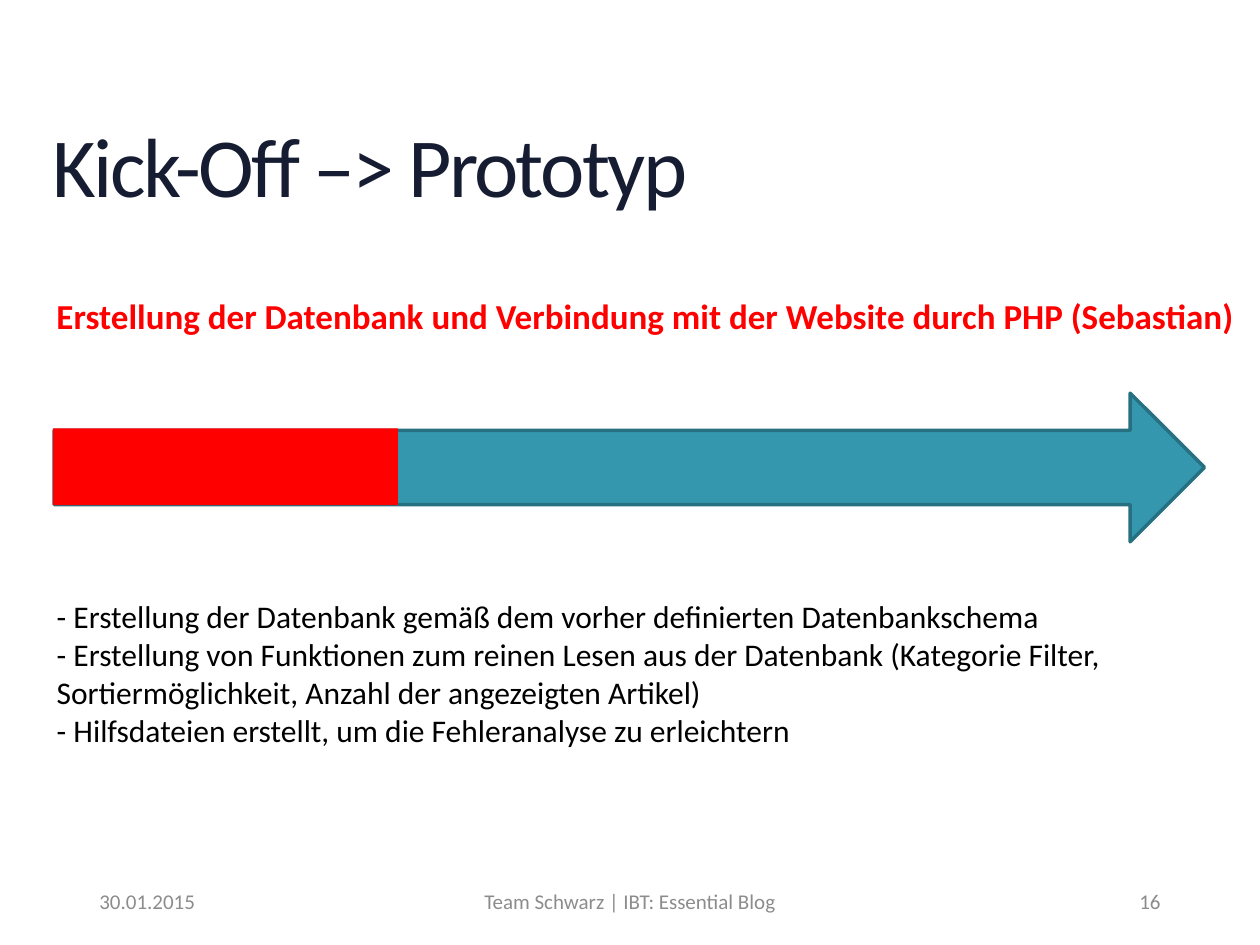
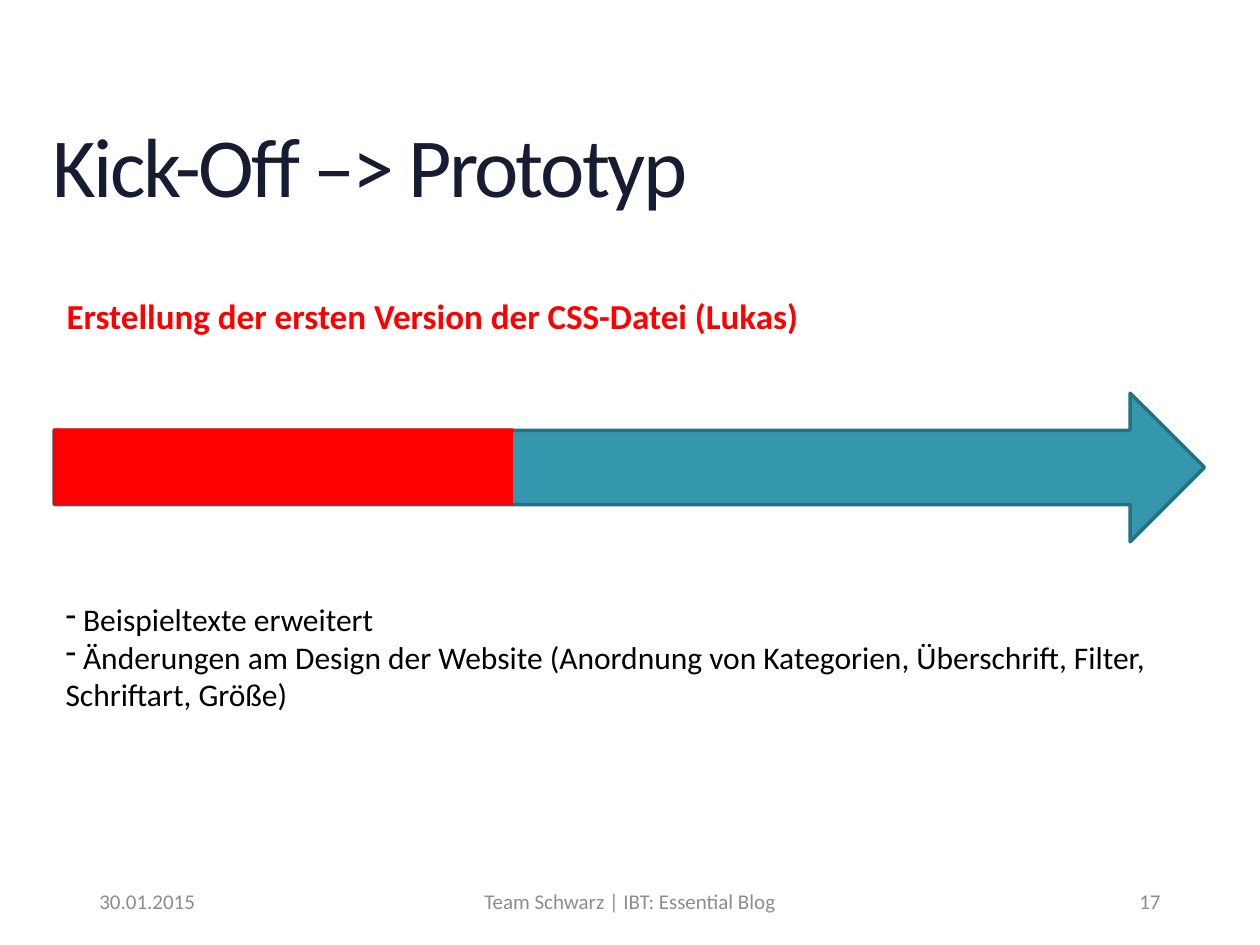
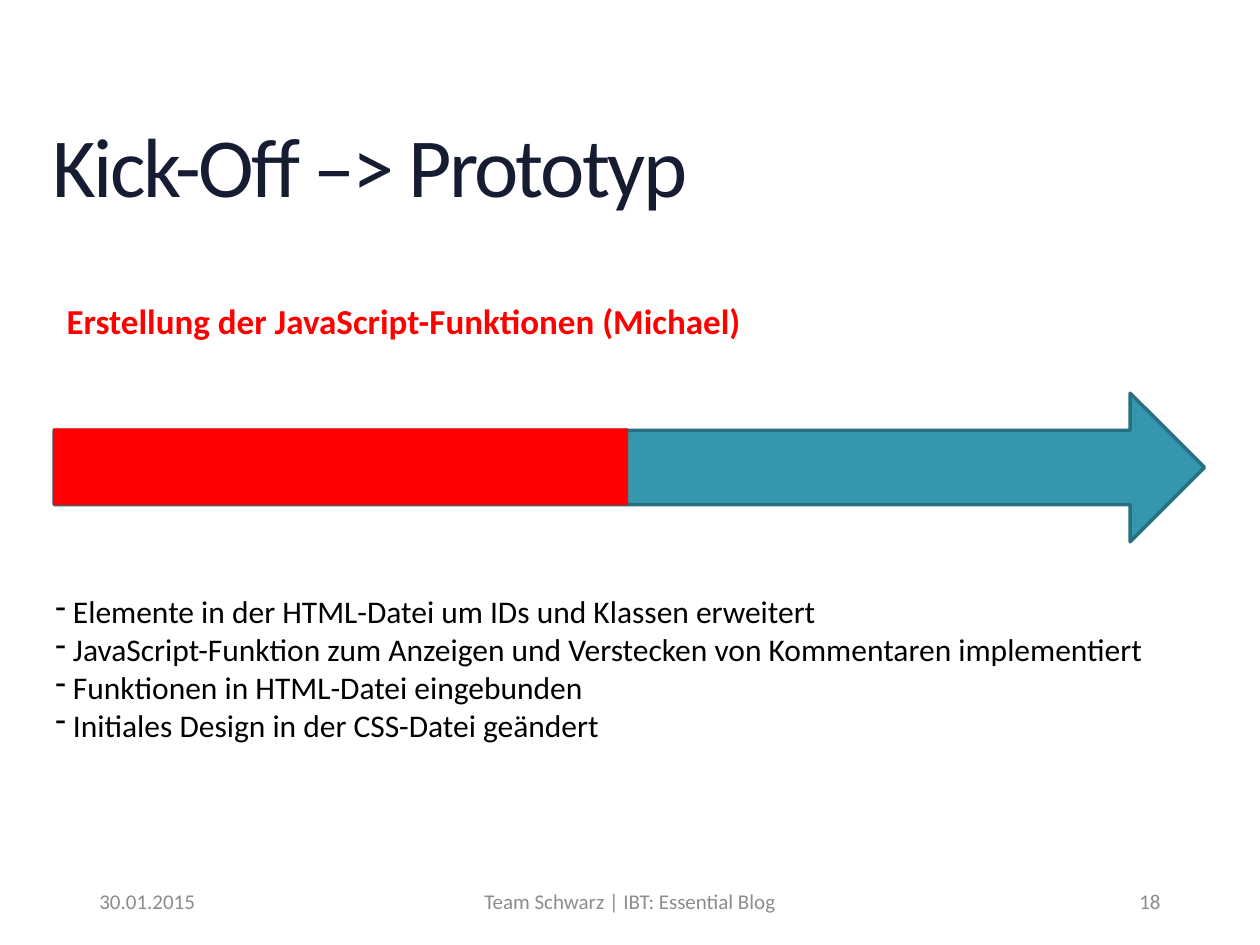
import dataclasses

import lxml.etree
import pptx
import pptx.dml.color
import pptx.enum.shapes
import pptx.enum.text
import pptx.oxml.ns
import pptx.util

Inches = pptx.util.Inches
Align = pptx.enum.text.PP_ALIGN
Anchor = pptx.enum.text.MSO_ANCHOR
Shape = pptx.enum.shapes.MSO_SHAPE

TITLE = "Kick-Off –> Prototyp"
DATE = "30.01.2015"
FOOTER = "Team Schwarz | IBT: Essential Blog"
FIRST_NUMBER = 16

STEPS = [
    {
        "heading": "Erstellung der Datenbank und Verbindung mit der Website durch PHP (Sebastian)",
        "heading_box": (0.35, 2.29, 9.57, 0.44),
        "progress": 0.3,
        "tasks": [
            "- Erstellung der Datenbank gemäß dem vorher definierten Datenbankschema",
            "- Erstellung von Funktionen zum reinen Lesen aus der Datenbank "
            "(Kategorie Filter, Sortiermöglichkeit, Anzahl der angezeigten Artikel)",
            "- Hilfsdateien erstellt, um die Fehleranalyse zu erleichtern",
        ],
        "tasks_box": (0.35, 4.69, 8.98, 1.31),
        "bullet": None,
    },
    {
        "heading": "Erstellung der ersten Version der CSS-Datei (Lukas)",
        "heading_box": (0.43, 2.29, 9.13, 0.44),
        "progress": 0.4,
        "tasks": [
            " Beispieltexte erweitert",
            " Änderungen am Design der Website (Anordnung von Kategorien, "
            "Überschrift, Filter, Schriftart, Größe)",
        ],
        "tasks_box": (0.42, 4.71, 8.98, 1.01),
        "bullet": "-",
    },
    {
        "heading": "Erstellung der JavaScript-Funktionen (Michael)",
        "heading_box": (0.43, 2.33, 9.13, 0.44),
        "progress": 0.5,
        "tasks": [
            " Elemente in der HTML-Datei um IDs und Klassen erweitert",
            " JavaScript-Funktion zum Anzeigen und Verstecken von Kommentaren implementiert",
            " Funktionen in HTML-Datei eingebunden",
            " Initiales Design in der CSS-Datei geändert",
        ],
        "tasks_box": (0.34, 4.65, 8.98, 1.31),
        "bullet": "-",
    },
]

TITLE_BOX = (0.42, 0.99, 9.17, 0.73)
ARROW_BOX = (0.43, 3.12, 9.13, 1.18)
PROGRESS_LEFT, PROGRESS_TOP, PROGRESS_HEIGHT = 0.42, 3.4, 0.61
FOOTER_TOP, FOOTER_HEIGHT = 6.95, 0.4


@dataclasses.dataclass(frozen=True)
class Theme:
    font: str = "Calibri"
    title_color: str = "161D32"
    accent: str = "FF0000"
    arrow: str = "3497AE"
    arrow_line: str = "267081"
    text: str = "000000"
    muted: str = "8C8C8C"
    title_size: int = 48
    heading_size: int = 20
    body_size: int = 18
    footer_size: int = 12


THEME = Theme()


def rgb(color):
    return pptx.dml.color.RGBColor.from_string(color)


def place(shape, box):
    shape.left, shape.top, shape.width, shape.height = map(Inches, box)


def format_text(text_frame, size, color, align=Align.LEFT, anchor=Anchor.TOP, bold=False):
    text_frame.word_wrap = True
    text_frame.auto_size = pptx.enum.text.MSO_AUTO_SIZE.NONE
    text_frame.vertical_anchor = anchor
    for paragraph in text_frame.paragraphs:
        paragraph.alignment = align
        for run in paragraph.runs:
            run.font.name = THEME.font
            run.font.size = pptx.util.Pt(size)
            run.font.bold = bold
            run.font.color.rgb = rgb(color)


def add_text(slide, text, box, size, color, **options):
    text_box = slide.shapes.add_textbox(*map(Inches, box))
    text_box.text_frame.text = text
    format_text(text_box.text_frame, size, color, **options)


def add_filled_shape(slide, kind, box, fill, line=None):
    shape = slide.shapes.add_shape(kind, *map(Inches, box))
    shape.shadow.inherit = False
    shape.fill.solid()
    shape.fill.fore_color.rgb = rgb(fill)
    if line:
        shape.line.color.rgb = rgb(line)
        shape.line.width = pptx.util.Pt(2)
    else:
        shape.line.fill.background()


def set_bullet(paragraph, bullet):
    properties = paragraph._p.get_or_add_pPr()
    properties.set("marL", "0")
    properties.set("indent", "0")
    qualify = pptx.oxml.ns.qn
    if bullet:
        lxml.etree.SubElement(properties, qualify("a:buFontTx"))
        lxml.etree.SubElement(properties, qualify("a:buChar")).set("char", bullet)
    else:
        lxml.etree.SubElement(properties, qualify("a:buNone"))


def fill_title(title):
    place(title, TITLE_BOX)
    text_frame = title.text_frame
    text_frame.text = TITLE
    text_frame.margin_left = text_frame.margin_right = 0
    text_frame.margin_top = text_frame.margin_bottom = 0
    format_text(text_frame, THEME.title_size, THEME.title_color)
    paragraph = text_frame.paragraphs[0]
    paragraph.line_spacing = 0.9
    paragraph.runs[0].font._element.set("spc", "-150")


def fill_tasks(body, step):
    place(body, step["tasks_box"])
    body.text_frame.text = "\n".join(step["tasks"])
    format_text(body.text_frame, THEME.body_size, THEME.text)
    for paragraph in body.text_frame.paragraphs:
        paragraph.space_before = pptx.util.Pt(0)
        set_bullet(paragraph, step["bullet"])


def add_footer(slide, number):
    parts = [
        (DATE, 0.69, 2.25, Align.LEFT),
        (FOOTER, 3.31, 3.38, Align.CENTER),
        (str(number), 7.06, 2.25, Align.RIGHT),
    ]
    for text, left, width, align in parts:
        add_text(slide, text, (left, FOOTER_TOP, width, FOOTER_HEIGHT),
                 THEME.footer_size, THEME.muted, align=align, anchor=Anchor.MIDDLE)


def add_progress_arrow(slide, progress):
    add_filled_shape(slide, Shape.RIGHT_ARROW, ARROW_BOX, THEME.arrow, THEME.arrow_line)
    width = ARROW_BOX[2] * progress
    add_filled_shape(slide, Shape.RECTANGLE,
                     (PROGRESS_LEFT, PROGRESS_TOP, width, PROGRESS_HEIGHT), THEME.accent)


def build_slide(presentation, number, step):
    slide = presentation.slides.add_slide(presentation.slide_layouts[1])
    fill_title(slide.shapes.title)
    fill_tasks(slide.placeholders[1], step)
    add_footer(slide, number)
    add_progress_arrow(slide, step["progress"])
    add_text(slide, step["heading"], step["heading_box"],
             THEME.heading_size, THEME.accent, bold=True)


def main():
    presentation = pptx.Presentation()
    presentation.slide_width = Inches(10)
    presentation.slide_height = Inches(7.5)
    for number, step in enumerate(STEPS, FIRST_NUMBER):
        build_slide(presentation, number, step)
    presentation.save("out.pptx")


if __name__ == "__main__":
    main()
